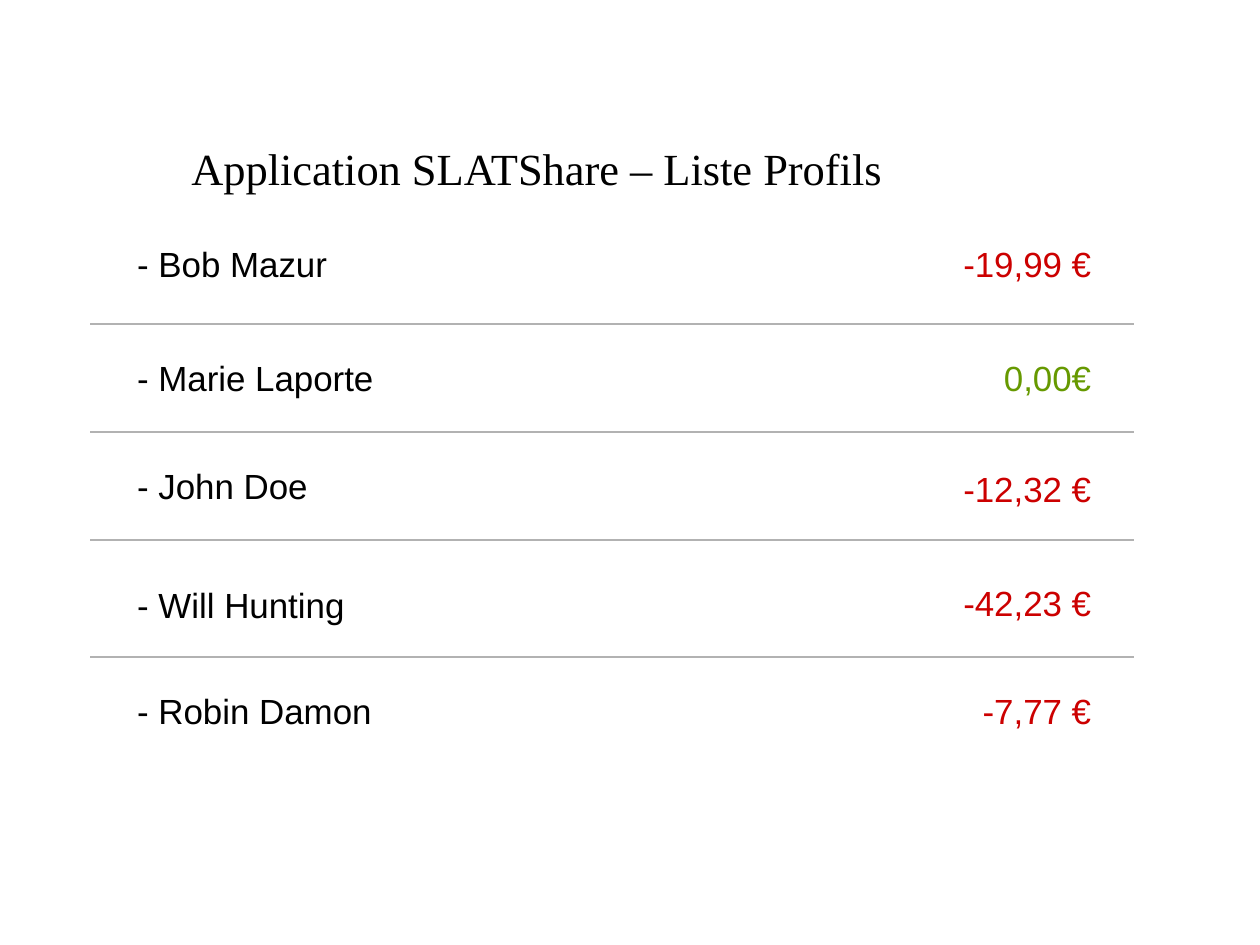
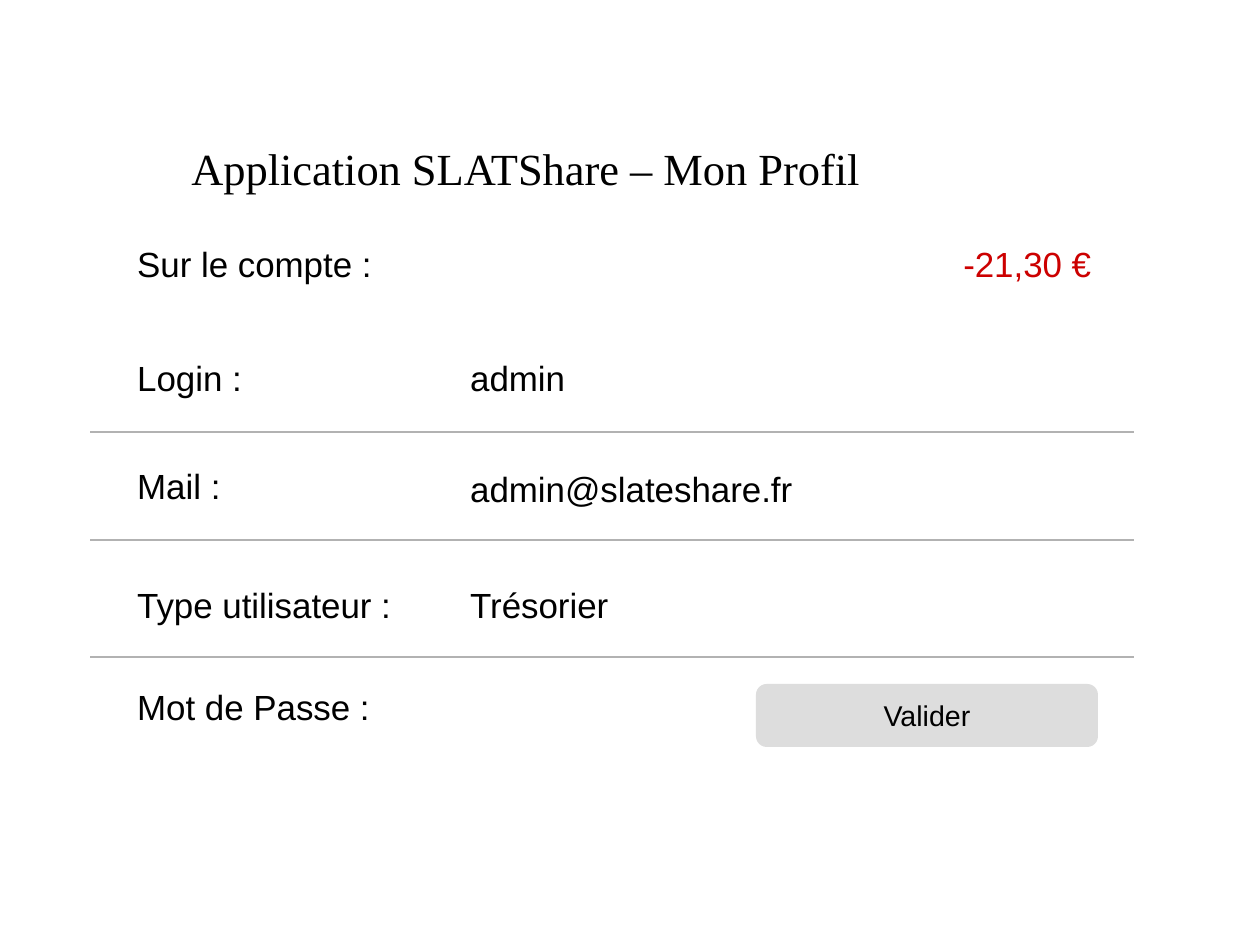
from lxml import etree
from pptx import Presentation
from pptx import util as u
from pptx.dml.color import RGBColor
from pptx.enum import shapes, text
from pptx.oxml import ns

PX = 9000  # 40 px to the centimetre
SLIDE_SIZE = (1120, 840)
BLACK = RGBColor(0x00, 0x00, 0x00)
RED = RGBColor(0xCC, 0x00, 0x00)
GREEN = RGBColor(0x66, 0x99, 0x00)
RULE_GREY = RGBColor(0xB2, 0xB2, 0xB2)
BUTTON_GREY = RGBColor(0xDD, 0xDD, 0xDD)
TITLE_FONT, BODY_FONT = "Times New Roman", "Arial"
LEFT, RIGHT, CENTER = (text.PP_ALIGN.LEFT, text.PP_ALIGN.RIGHT,
                       text.PP_ALIGN.CENTER)

TITLE_BOX = (160, 120, 840, 54)
PANEL = (80, 211, 928, 453)
RULE_OFFSETS = (77, 173, 269, 373)
ROW_HEIGHT = 53
LABEL_INDENT, VALUE_INDENT, AMOUNT_INDENT = 32, 328, 758
LABEL_WIDTH, VALUE_WIDTH, AMOUNT_WIDTH = 290, 350, 142

# (label, label offset, amount, amount offset, amount colour)
PROFILES = (
    ("- Bob Mazur", 0, "-19,99 €", 0, RED),
    ("- Marie Laporte", 101, "0,00€", 101, GREEN),
    ("- John Doe", 197, "-12,32 €", 200, RED),
    ("- Will Hunting", 303, "-42,23 €", 301, RED),
    ("- Robin Damon", 397, "-7,77 €", 397, RED),
)
# (label, label offset, value, value offset)
FIELDS = (
    ("Login :", 101, "admin", 101),
    ("Mail :", 197, "admin@slateshare.fr", 200),
    ("Type utilisateur :", 303, "Trésorier", 303),
)


def emu(*lengths):
    return [u.Emu(n * PX) for n in lengths]


def write(sp, wording, size, font=BODY_FONT, color=BLACK, align=LEFT,
          anchor=text.MSO_ANCHOR.TOP):
    tf = sp.text_frame
    tf.text = wording
    tf.word_wrap = True
    tf.auto_size = text.MSO_AUTO_SIZE.NONE
    tf.vertical_anchor = anchor
    p = tf.paragraphs[0]
    p.alignment = align
    r = p.runs[0]
    r.font.size, r.font.name = u.Pt(size), font
    r.font.color.rgb = color


def add_text(s, box, wording, **style):
    write(s.shapes.add_textbox(*emu(*box)), wording, 22, **style)


def add_rules(s, panel, offsets):
    left, top, width, _ = panel
    for dy in offsets:
        y = top + dy
        line = s.shapes.add_connector(
            shapes.MSO_CONNECTOR.STRAIGHT, *emu(left, y, left + width, y))
        line.line.color.rgb = RULE_GREY
        line.line.width = u.Pt(0.75)
        etree.SubElement(line._element.spPr, ns.qn("a:effectLst"))


def add_label(s, panel, dy, wording):
    add_text(s, (panel[0] + LABEL_INDENT, panel[1] + dy,
                 LABEL_WIDTH, ROW_HEIGHT), wording)


def add_value(s, panel, dy, wording):
    add_text(s, (panel[0] + VALUE_INDENT, panel[1] + dy,
                 VALUE_WIDTH, ROW_HEIGHT), wording)


def add_amount(s, panel, dy, wording, color):
    add_text(s, (panel[0] + AMOUNT_INDENT, panel[1] + dy,
                 AMOUNT_WIDTH, ROW_HEIGHT), wording, color=color, align=RIGHT)


def add_button(s, box, wording):
    sp = s.shapes.add_shape(shapes.MSO_SHAPE.ROUNDED_RECTANGLE, *emu(*box))
    sp.adjustments[0] = 0.17
    sp.shadow.inherit = False
    sp.fill.solid()
    sp.fill.fore_color.rgb = BUTTON_GREY
    sp.line.fill.background()
    write(sp, wording, 18, align=CENTER, anchor=text.MSO_ANCHOR.MIDDLE)


def add_titled_slide(prs, title):
    s = prs.slides.add_slide(prs.slide_layouts[5])
    sp = s.shapes.title
    sp.left, sp.top, sp.width, sp.height = emu(*TITLE_BOX)
    write(sp, title, 28, font=TITLE_FONT)
    return s


def add_profile_list(s, panel):
    add_rules(s, panel, RULE_OFFSETS)
    for label, label_dy, amount, amount_dy, color in PROFILES:
        add_label(s, panel, label_dy, label)
        add_amount(s, panel, amount_dy, amount, color)


def add_own_profile(s, panel):
    left, top = panel[:2]
    add_rules(s, panel, RULE_OFFSETS[1:])
    add_label(s, panel, 0, "Sur le compte :")
    add_amount(s, panel, 0, "-21,30 €", RED)
    for label, label_dy, value, value_dy in FIELDS:
        add_label(s, panel, label_dy, label)
        add_value(s, panel, value_dy, value)
    add_label(s, panel, 393, "Mot de Passe :")
    add_button(s, (left + 592, top + 397, 304, 56), "Valider")


def main():
    prs = Presentation()
    prs.slide_width, prs.slide_height = emu(*SLIDE_SIZE)
    add_profile_list(
        add_titled_slide(prs, "Application SLATShare – Liste Profils"), PANEL)
    add_own_profile(
        add_titled_slide(prs, "Application SLATShare – Mon Profil"), PANEL)
    prs.save("out.pptx")


if __name__ == "__main__":
    main()
